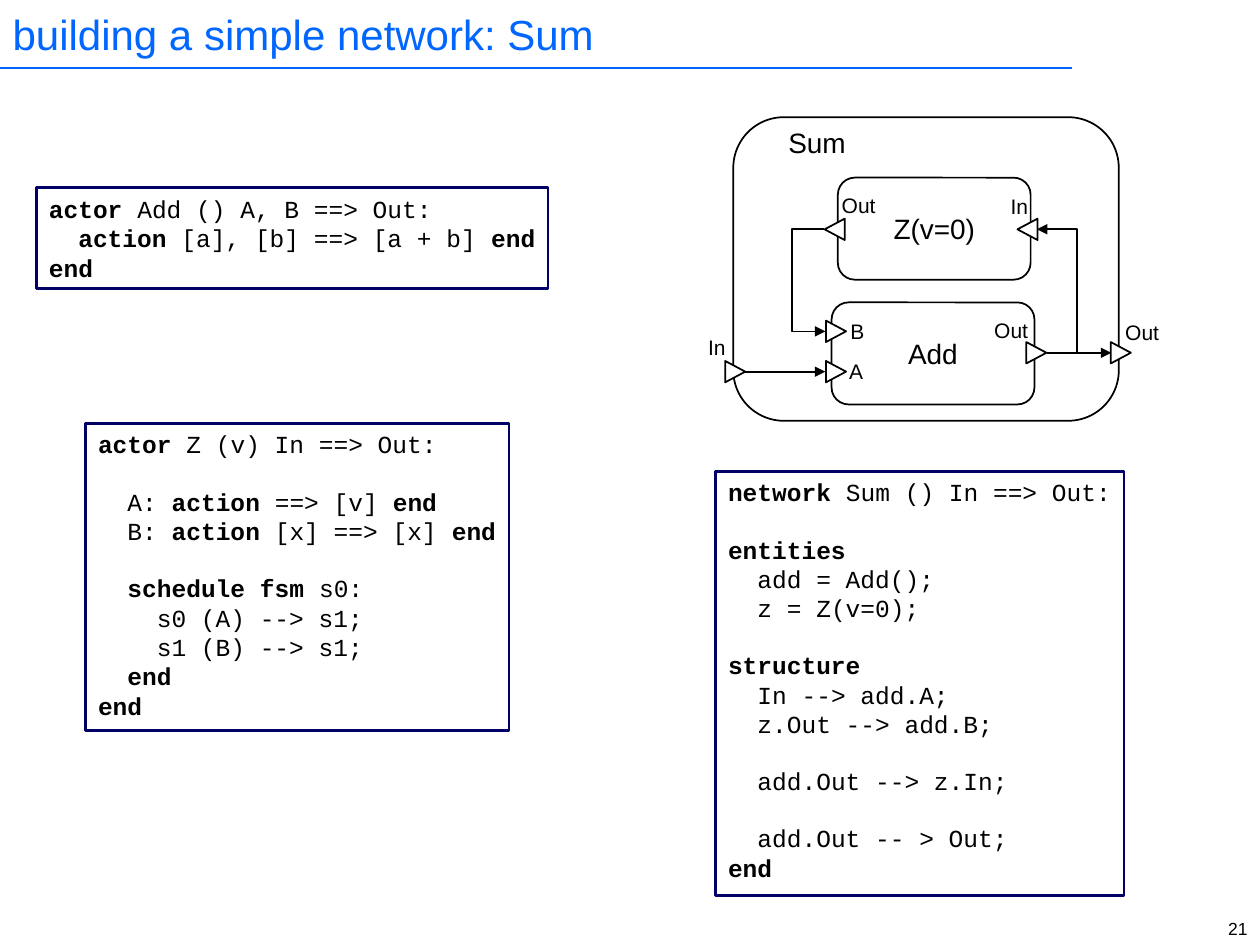
from dataclasses import dataclass

from lxml import etree
from pptx import Presentation
from pptx.dml.color import RGBColor
from pptx.enum.shapes import MSO_CONNECTOR, MSO_SHAPE
from pptx.enum.text import MSO_ANCHOR, MSO_AUTO_SIZE, PP_ALIGN
from pptx.oxml.ns import qn
from pptx.util import Inches, Pt

RECTANGLE, ROUNDED = MSO_SHAPE.RECTANGLE, MSO_SHAPE.ROUNDED_RECTANGLE
TRIANGLE = MSO_SHAPE.ISOSCELES_TRIANGLE
STRAIGHT, ELBOW = MSO_CONNECTOR.STRAIGHT, MSO_CONNECTOR.ELBOW
LEFT, CENTER, RIGHT = PP_ALIGN.LEFT, PP_ALIGN.CENTER, PP_ALIGN.RIGHT
TOP, MIDDLE = MSO_ANCHOR.TOP, MSO_ANCHOR.MIDDLE


@dataclass(frozen=True)
class Theme:
    title = RGBColor(0x00, 0x66, 0xFF)
    frame = RGBColor(0x00, 0x00, 0x66)
    ink = RGBColor(0x00, 0x00, 0x00)
    paper = RGBColor(0xFF, 0xFF, 0xFF)
    sans = "Arial"
    mono = "Courier New"
    title_size = 24
    actor_size = 16
    code_size = 14
    port_size = 12
    number_size = 10
    thin = Pt(1)
    thick = Pt(1.5)


theme = Theme()
CELL = Inches(0.1)  # the slide is a grid of 100 columns by 75 rows
CHARACTER = Pt(theme.code_size * 0.6)  # advance of one monospaced character
CODE_LINE = Pt(theme.code_size * 1.13)


def write(shape, text, size=theme.port_size, font=theme.sans, color=theme.ink,
          align=CENTER, anchor=TOP, wrap=True):
    """Fill a shape: *bold* parts, leading spaces as indent, empty lines as space before."""
    frame = shape.text_frame
    frame.auto_size = MSO_AUTO_SIZE.NONE
    frame.word_wrap = wrap
    frame.vertical_anchor = anchor
    paragraph, gap = frame.paragraphs[0], 0
    for number, line in enumerate(text.split("\n")):
        if not line:
            gap = CODE_LINE
            continue
        if number:
            paragraph = frame.add_paragraph()
        paragraph.alignment = align
        paragraph.space_before, gap = gap, 0
        code = line.lstrip()
        indent = (len(line) - len(code)) * CHARACTER
        if indent:
            paragraph._p.get_or_add_pPr().set("marL", str(indent))
        for part, words in enumerate(code.split("*")):
            if words:
                run = paragraph.add_run()
                run.text = words
                run.font.size, run.font.name = Pt(size), font
                run.font.bold = part % 2 == 1
                run.font.color.rgb = color


def add_outlined(kind, cells, fill=None, color=theme.ink, width=theme.thin):
    shape = slide.shapes.add_shape(kind, *(round(cell * CELL) for cell in cells))
    shape.shadow.inherit = False
    if fill is None:
        shape.fill.background()
    else:
        shape.fill.solid()
        shape.fill.fore_color.rgb = fill
    shape.line.color.rgb, shape.line.width = color, width
    return shape


presentation = Presentation()
presentation.slide_width, presentation.slide_height = 100 * CELL, 75 * CELL
slide = presentation.slides.add_slide(presentation.slide_layouts[5])

title = slide.shapes.title
title.left, title.top = 0, 0
title.width, title.height = round(86.5 * CELL), round(5.3 * CELL)
write(title, "building a simple network: Sum", size=theme.title_size,
      color=theme.title, align=LEFT, anchor=MIDDLE)

# Code listings
add_code = """*actor* Add () A, B ==> Out:
  *action* [a], [b] ==> [a + b] *end*
*end*"""
z_code = """*actor* Z (v) In ==> Out:

  A: *action* ==> [v] *end*
  B: *action* [x] ==> [x] *end*

  *schedule fsm* s0:
    s0 (A) --> s1;
    s1 (B) --> s1;
  *end*
*end*"""
network_code = """*network* Sum () In ==> Out:

*entities*
  add = Add();
  z = Z(v=0);

*structure*
  In --> add.A;
  z.Out --> add.B;

  add.Out --> z.In;

  add.Out -- > Out;
*end*"""
for code, cells in [
    (z_code, (6.8, 33.6, 33.6, 24.4)),
    (add_code, (2.9, 14.9, 40.6, 8)),
    (network_code, (56.8, 37.4, 32.4, 33.7)),
]:
    listing = add_outlined(RECTANGLE, cells, theme.paper, theme.frame, theme.thick)
    listing.text_frame.margin_right = 0
    write(listing, code, size=theme.code_size, font=theme.mono, align=LEFT)

# Network and its actors
for name, cells in [
    ("", (58.2, 9.3, 30.6, 24.1)),
    ("Z(v=0)", (66.5, 14.1, 15.3, 8.1)),
    ("Add", (66, 24, 16.1, 8.1)),
]:
    write(add_outlined(ROUNDED, cells), name, size=theme.actor_size, anchor=MIDDLE)

# Connections: start, end, column of the bend, colour, arrowhead
for start, end, bend, color, arrow in [
    ((0, 5.4), (85.1, 5.4), None, theme.title, False),
    ((59.1, 29.5), (65.5, 29.5), None, theme.ink, True),
    ((83.1, 28), (88.2, 28), None, theme.ink, True),
    ((83.1, 28), (82.3, 18.2), 85.5, theme.ink, True),
    ((65.4, 18.2), (65.5, 26.3), 62.8, theme.ink, True),
]:
    connector = slide.shapes.add_connector(
        ELBOW if bend else STRAIGHT, *(round(cell * CELL) for cell in start + end))
    connector.line.color.rgb, connector.line.width = color, theme.thin
    properties = connector._element.spPr
    if bend:
        share = (bend - start[0]) / (end[0] - start[0])
        guides = properties.find(qn("a:prstGeom")).get_or_add_avLst()
        etree.SubElement(guides, qn("a:gd"), name="adj1", fmla=f"val {round(share * 100000)}")
    if arrow:
        etree.SubElement(connector.line._get_or_add_ln(), qn("a:tailEnd"), type="triangle")
    etree.SubElement(properties, qn("a:effectLst"))

# Ports point right (90 degrees) or left (270 degrees)
for column, row, rotation in [
    (57.5, 28.7, 90), (65.5, 28.7, 90), (65.5, 25.5, 90), (81.4, 27.2, 90),
    (88.1, 27.2, 90), (65.4, 17.4, 270), (80.7, 17.4, 270),
]:
    add_outlined(TRIANGLE, (column, row, 1.7, 1.6), theme.paper).rotation = rotation

# Labels and slide number
port = dict(wrap=False)
for text, cells, style in [
    ("Sum", (61.6, 9.5, 6.5, 3.7), dict(size=theme.actor_size, wrap=False)),
    ("B", (66.5, 24.8, 3.1, 3), port),
    ("A", (66.4, 28, 3.1, 3), port),
    ("Out", (77.9, 24.7, 4.7, 3), port),
    ("Out", (88.3, 24.9, 4.7, 3), port),
    ("Out", (65.8, 14.8, 4.7, 3), port),
    ("In", (55.2, 26.1, 3.4, 3), port),
    ("In", (79.2, 14.9, 3.4, 3), port),
    ("21", (90.7, 72.4, 9.3, 2.3), dict(size=theme.number_size, align=RIGHT)),
]:
    label = slide.shapes.add_textbox(*(round(cell * CELL) for cell in cells))
    write(label, text, **style)

presentation.save("out.pptx")
